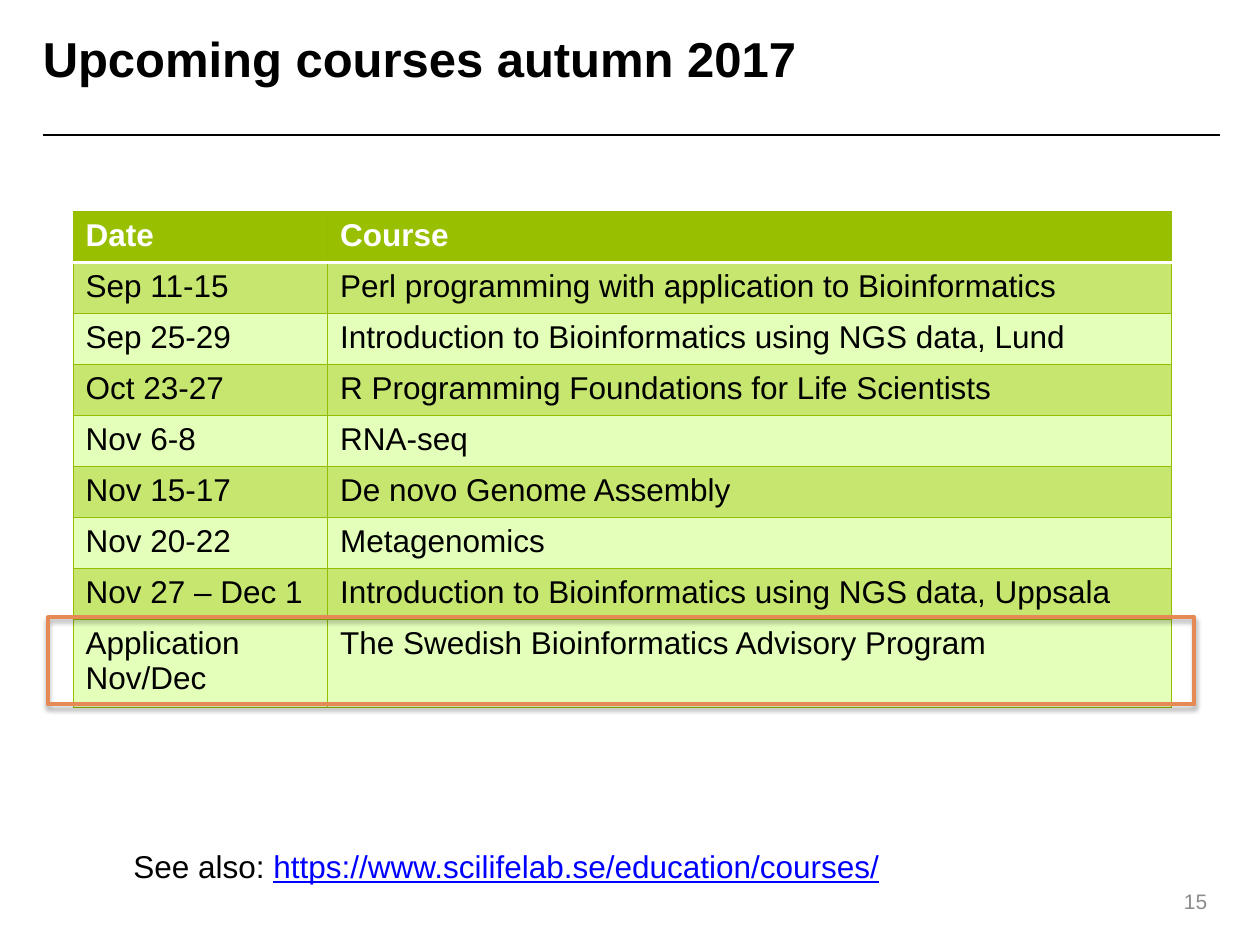
"""Build the slide listing the upcoming autumn 2017 courses."""
import pptx
import pptx.dml.color
import pptx.enum.shapes
import pptx.enum.text
import pptx.oxml
import pptx.oxml.ns
import pptx.util
from lxml import etree

Inches = pptx.util.Inches
Pt = pptx.util.Pt
ALIGN = pptx.enum.text.PP_ALIGN
ANCHOR = pptx.enum.text.MSO_ANCHOR
FONT = "Arial"
COLORS = {
    "text": "000000",
    "header_text": "FFFFFF",
    "number": "8C8C8C",
    "link": "0000FF",
    "header": "98C000",
    "dark_band": "C6E670",
    "light_band": "E4FFBA",
    "border": "95BC00",
    "header_rule": "FFFFFF",
    "highlight": "E58955",
}
COURSES = [
    ("Date", "Course"),
    ("Sep 11-15", "Perl programming with application to Bioinformatics"),
    ("Sep 25-29", "Introduction to Bioinformatics using NGS data, Lund"),
    ("Oct 23-27", "R Programming Foundations for Life Scientists"),
    ("Nov 6-8", "RNA-seq"),
    ("Nov 15-17", "De novo Genome Assembly"),
    ("Nov 20-22", "Metagenomics"),
    ("Nov 27 – Dec 1", "Introduction to Bioinformatics using NGS data, Uppsala"),
    ("Application Nov/Dec", "The Swedish Bioinformatics Advisory Program"),
]
SHADOW = (
    '<a:effectLst %s><a:outerShdw blurRad="%d" dist="%d" dir="5400000" rotWithShape="0">'
    '<a:srgbClr val="000000"><a:alpha val="35000"/></a:srgbClr>'
    "</a:outerShdw></a:effectLst>"
)


def rgb(name):
    return pptx.dml.color.RGBColor.from_string(COLORS[name])


def set_font(font, size, color="text", bold=False):
    font.name = FONT
    font.size = Pt(size)
    font.bold = bold
    font.color.rgb = rgb(color)


def add_text(page, area, spans, size, color="text", bold=False,
             align=ALIGN.LEFT, anchor=ANCHOR.TOP, inset=None):
    box = page.shapes.add_textbox(*map(Inches, area))
    frame = box.text_frame
    frame.word_wrap = True
    frame.vertical_anchor = anchor
    if inset is not None:
        frame.margin_left = frame.margin_right = Inches(inset)
        frame.margin_top = frame.margin_bottom = Inches(inset)
    para = frame.paragraphs[0]
    para.alignment = align
    for text in spans:
        para.add_run().text = text
    set_font(para.font, size, color, bold)
    return para


def add_rule(page, left, right, top):
    rule = page.shapes.add_connector(
        pptx.enum.shapes.MSO_CONNECTOR.STRAIGHT,
        Inches(left), Inches(top), Inches(right), Inches(top))
    rule.line.color.rgb = rgb("text")
    rule.line.width = Pt(1)
    etree.SubElement(rule._element.spPr, pptx.oxml.ns.qn("a:effectLst"))


def set_border(cell, side, color, width):
    qn = pptx.oxml.ns.qn
    line = etree.SubElement(cell._tc.get_or_add_tcPr(), qn("a:ln" + side), w=str(Pt(width)))
    fill = etree.SubElement(line, qn("a:solidFill"))
    etree.SubElement(fill, qn("a:srgbClr"), val=COLORS[color])


def style_cell(cell, text, row):
    for side in "LRTB":
        under_header = (row, side) in ((0, "B"), (1, "T"))
        color, width = ("header_rule", 2) if under_header else ("border", 0.75)
        set_border(cell, side, color, width)
    band = "header" if row == 0 else ("light_band", "dark_band")[row % 2]
    cell.fill.solid()
    cell.fill.fore_color.rgb = rgb(band)
    cell.text = text
    set_font(cell.text_frame.paragraphs[0].font, 18,
             "text" if row else "header_text", bold=row == 0)


def add_courses(page):
    last = len(COURSES) - 1
    table = page.shapes.add_table(
        len(COURSES), 2, Inches(0.58), Inches(1.68), Inches(8.72), Inches(3.94)).table
    table.columns[0].width = Inches(2.02)
    table.columns[1].width = Inches(6.7)
    for row, course in enumerate(COURSES):
        table.rows[row].height = Inches(0.7) if row == last else Inches(3.24 / last)
        for column, text in enumerate(course):
            style_cell(table.cell(row, column), text, row)


def add_highlight(page, area):
    frame = page.shapes.add_shape(
        pptx.enum.shapes.MSO_SHAPE.RECTANGLE, *map(Inches, area))
    frame.shadow.inherit = False
    frame.fill.background()
    frame.line.color.rgb = rgb("highlight")
    frame.line.width = Pt(2.25)
    properties = frame._element.spPr
    properties.remove(properties.find(pptx.oxml.ns.qn("a:effectLst")))
    properties.append(pptx.oxml.parse_xml(
        SHADOW % (pptx.oxml.ns.nsdecls("a"), Pt(3.1), Pt(1.8))))


def main():
    deck = pptx.Presentation()
    deck.slide_width, deck.slide_height = Inches(10), Inches(7.5)
    page = deck.slides.add_slide(deck.slide_layouts[6])
    add_rule(page, 0.34, 9.68, 1.07)
    add_text(page, (0.34, 0.23, 6.83, 0.63), ["Upcoming courses autumn 2017"],
             28, bold=True, inset=0)
    add_text(page, (7.17, 6.95, 2.51, 0.4), ["15"], 12, "number",
             align=ALIGN.RIGHT, anchor=ANCHOR.MIDDLE)
    see_also = add_text(page, (0.96, 6.67, 8.19, 0.71),
                        ["See also: ", "https://www.scilifelab.se/education/courses/"], 18)
    address = see_also.runs[1].font
    address.color.rgb = rgb("link")
    address.underline = True
    add_courses(page)
    add_highlight(page, (0.38, 4.9, 9.1, 0.69))
    deck.save("out.pptx")


if __name__ == "__main__":
    main()
